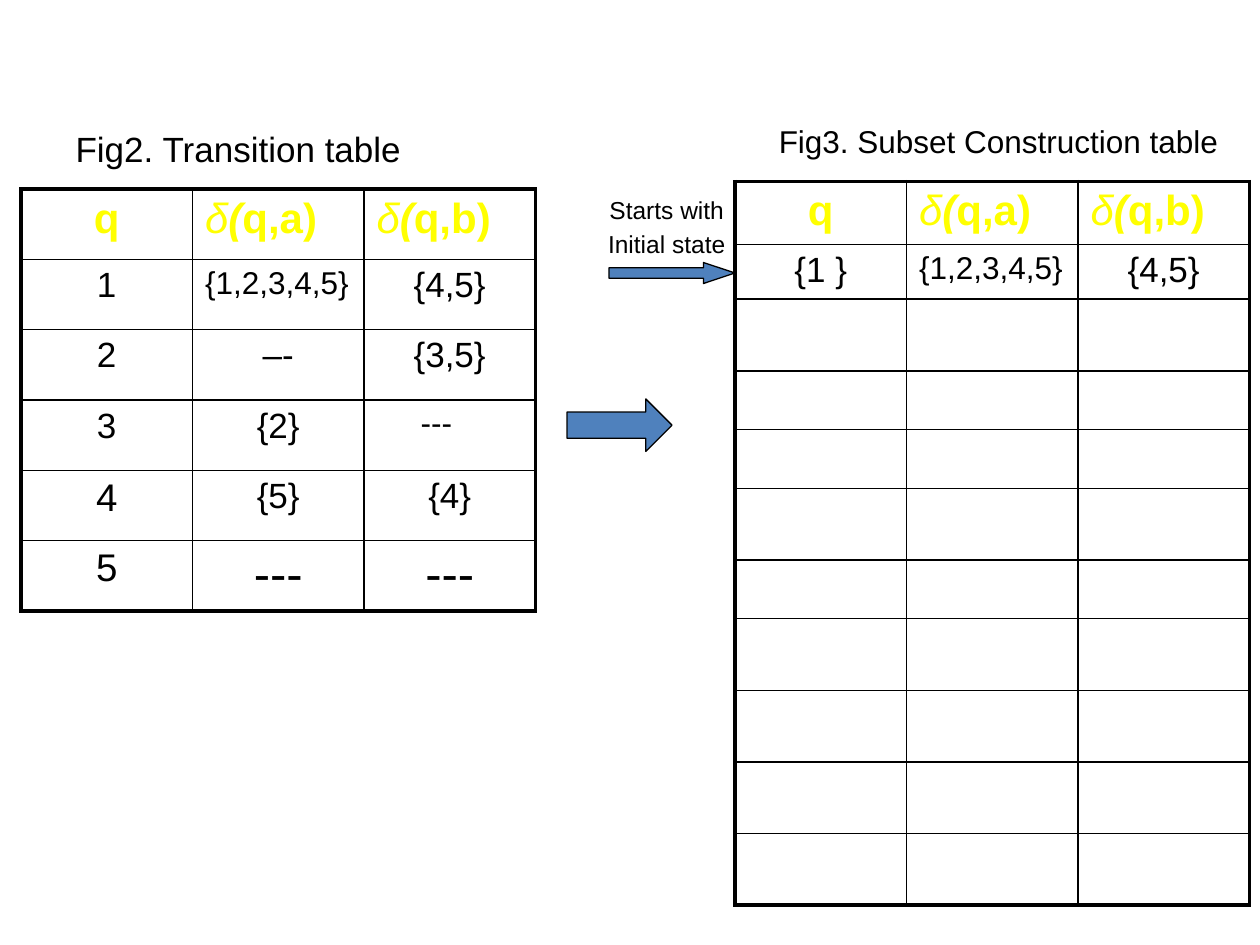
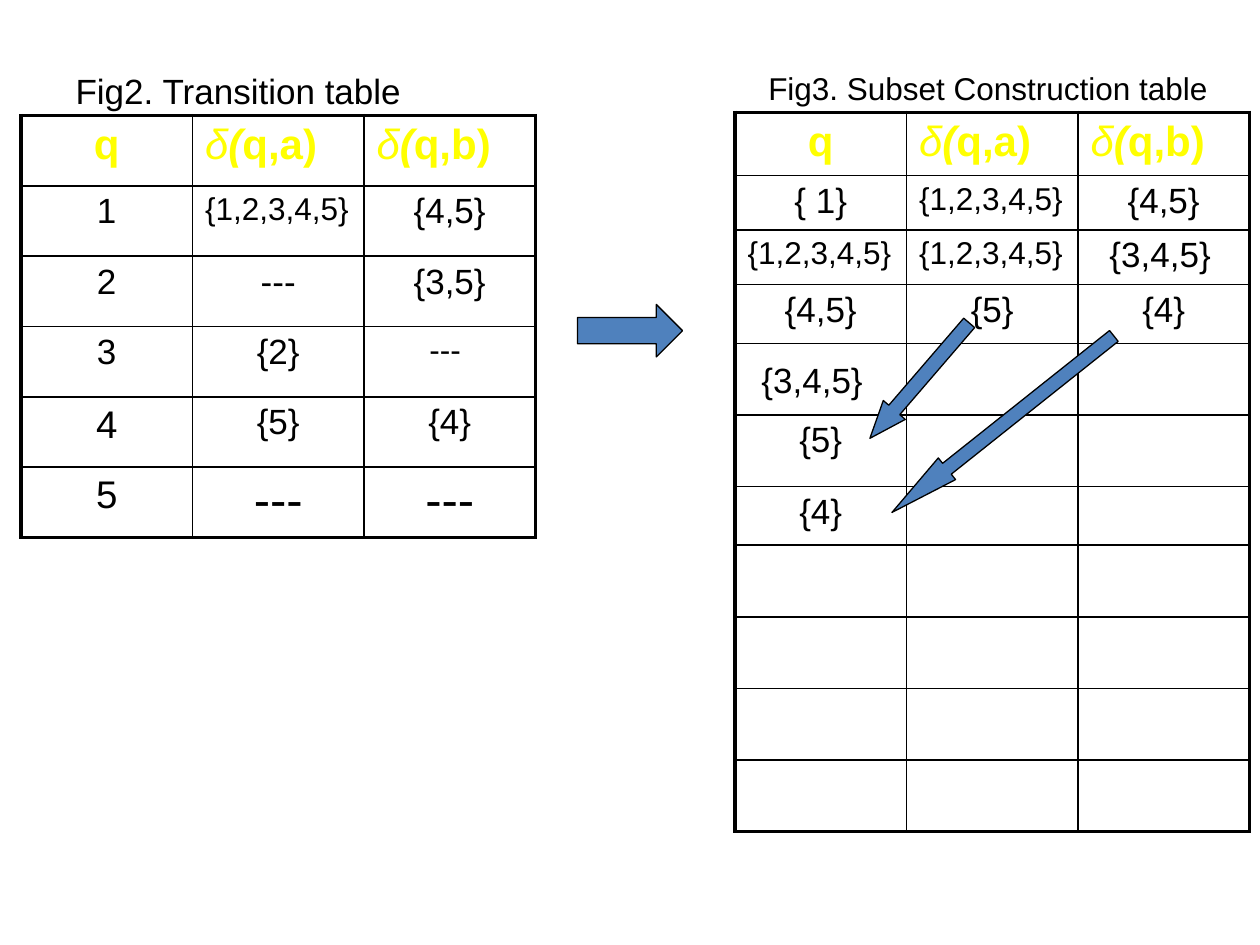
from dataclasses import dataclass
from typing import Optional

from lxml import etree
from pptx import Presentation
from pptx.dml.color import RGBColor
from pptx.enum.shapes import MSO_SHAPE
from pptx.enum.text import MSO_ANCHOR, MSO_AUTO_SIZE, PP_ALIGN
from pptx.oxml.ns import qn
from pptx.util import Inches, Pt

COLORS = {"ink": "000000", "header": "FFFF00", "arrow": "4F81BD"}
FONT = "Arial"
CENTER, LEFT = PP_ALIGN.CENTER, PP_ALIGN.LEFT
TOP, NO_AUTOFIT = MSO_ANCHOR.TOP, MSO_AUTO_SIZE.NONE
RIGHT_ARROW, DOWN_ARROW = MSO_SHAPE.RIGHT_ARROW, MSO_SHAPE.DOWN_ARROW
TITLE_ONLY = 5

# The slide is a grid of 120 columns by 90 rows; lengths below count grid units.
UNIT = Inches(10) / 120
TABLE_WIDTH = 49
FIG2_LEFT, FIG3_LEFT = 2, 70
FIG2_ROW = 6.7
HEADER_ROW, LOW_ROW, MID_ROW, TALL_ROW = 6, 5.2, 5.6, 6.82
OUTER_LINE, INNER_LINE = Pt(2.21), Pt(0.96)


@dataclass
class Entry:
    """Cell text; it is centred unless an indent in inches is given."""
    text: str = ""
    size: float = 20
    indent: Optional[float] = None
    top: float = 0.05


ALL_STATES = Entry("{1,2,3,4,5}", 18, indent=0)
LONG_DASH = Entry("---", 28)


def grid(*units):
    return [round(unit * UNIT) for unit in units]


def color(name):
    return RGBColor.from_string(COLORS[name])


def format_span(span, size, name="ink", bold=False, italic=False):
    font = span.font
    font.name, font.size = FONT, Pt(size)
    font.bold, font.italic = bold, italic
    font.color.rgb = color(name)


def format_para(para, size, align):
    para.alignment = align
    para.space_before = Pt(size * 0.2)
    for span in para.runs:
        format_span(span, size)


def set_indent(para, left, first=0):
    properties = para._p.get_or_add_pPr()
    properties.set("marL", str(Inches(left)))
    properties.set("indent", str(Inches(first)))


def place_title(slide, top):
    title = slide.shapes.title
    title.left, title.top, title.width, title.height = grid(6, top, 108, 59.4)
    frame = title.text_frame
    frame.text = "Fig2. Transition table"
    frame.auto_size, frame.vertical_anchor = NO_AUTOFIT, TOP
    para = frame.paragraphs[0]
    format_para(para, 20, LEFT)
    set_indent(para, 0.37, -0.37)


def add_label(slide, box, text, size, wrap):
    label = slide.shapes.add_textbox(*grid(*box))
    frame = label.text_frame
    frame.text, frame.word_wrap = text, wrap
    frame.margin_left = frame.margin_right = Inches(0.02)
    for para in frame.paragraphs:
        format_para(para, size, CENTER)


def add_arrow(slide, kind, box, head=0.5, rotation=0):
    arrow = slide.shapes.add_shape(kind, *grid(*box))
    arrow.shadow.inherit = False
    arrow.adjustments[0], arrow.adjustments[1] = 0.5, head
    arrow.rotation = rotation
    arrow.fill.solid()
    arrow.fill.fore_color.rgb = color("arrow")
    arrow.line.color.rgb = color("ink")
    arrow.line.width = Pt(0.75)


def set_borders(cell, outer_sides):
    properties = cell._tc.get_or_add_tcPr()
    for position, side in enumerate(("L", "R", "T", "B")):
        width = OUTER_LINE if side in outer_sides else INNER_LINE
        line = etree.Element(qn(f"a:ln{side}"), w=str(width))
        fill = etree.SubElement(line, qn("a:solidFill"))
        etree.SubElement(fill, qn("a:srgbClr"), val=COLORS["ink"])
        properties.insert(position, line)


def fill_header(cell, symbol):
    para = cell.text_frame.paragraphs[0]
    para.space_before = Pt(4.8)
    if symbol == "q":
        para.alignment = CENTER
        parts = [("q", True, False)]
    else:
        parts = [("δ", False, True), ("(", True, True), (f"q,{symbol})", True, False)]
    for text, bold, italic in parts:
        span = para.add_run()
        span.text = text
        format_span(span, 24, "header", bold, italic)


def fill_entry(cell, entry):
    if isinstance(entry, str):
        entry = Entry(entry)
    cell.text_frame.text = entry.text
    cell.margin_top = Inches(entry.top)
    para = cell.text_frame.paragraphs[0]
    format_para(para, entry.size, CENTER if entry.indent is None else LEFT)
    if entry.indent:
        set_indent(para, entry.indent)


def add_state_table(slide, left, top, heights, entries):
    """Draw the header q, δ(q,a), δ(q,b), then entries; rows without any stay empty."""
    count = len(heights)
    box = grid(left, top, TABLE_WIDTH, sum(heights))
    table = slide.shapes.add_table(count, 3, *box).table
    table.first_row = table.horz_banding = False
    for column in table.columns:
        column.width = grid(TABLE_WIDTH / 3)[0]
    for row, height in enumerate(heights):
        table.rows[row].height = grid(height)[0]
        for column in range(3):
            cell = table.cell(row, column)
            cell.fill.background()
            edges = {"L": column == 0, "R": column == 2,
                     "T": row == 0, "B": row == count - 1}
            set_borders(cell, [side for side, outer in edges.items() if outer])
            if row == 0:
                fill_header(cell, "qab"[column])
            elif row <= len(entries) and column < len(entries[row - 1]):
                fill_entry(cell, entries[row - 1][column])


def add_transition_figure(slide, title_top, table_top, dash, dash_indent):
    place_title(slide, title_top)
    entries = [
        ["1", ALL_STATES, "{4,5}"],
        ["2", dash, "{3,5}"],
        ["3", "{2}", Entry("---", 18, indent=dash_indent)],
        [Entry("4", 22), "{5}", "{4}"],
        [Entry("5", 22), LONG_DASH, LONG_DASH],
    ]
    add_state_table(slide, FIG2_LEFT, table_top, [FIG2_ROW] * 6, entries)


def add_subset_figure(slide, caption_left, caption_top, table_top, heights, entries):
    add_state_table(slide, FIG3_LEFT, table_top, heights, entries)
    add_label(slide, (caption_left, caption_top, 44.2, 4.8),
              "Fig3. Subset Construction table", 18, wrap=False)


def build_start_slide(slide):
    add_transition_figure(slide, 11.5, 18, "–-", 0.35)
    heights = [HEADER_ROW, LOW_ROW, TALL_ROW, MID_ROW, MID_ROW, TALL_ROW,
               MID_ROW] + [TALL_ROW] * 4
    add_subset_figure(slide, 73, 11, 17.3, heights,
                      [["{1 }", ALL_STATES, "{4,5}"]])
    add_arrow(slide, RIGHT_ARROW, (58, 25, 12, 2), head=1.5)
    add_arrow(slide, RIGHT_ARROW, (54, 38, 10, 5))
    add_label(slide, (56, 18, 15, 7.2), "Starts with\nInitial state", 14, wrap=True)


def build_new_states_slide(slide):
    add_transition_figure(slide, 6, 11, "---", 0.42)
    heights = [HEADER_ROW, LOW_ROW, LOW_ROW, MID_ROW, TALL_ROW, TALL_ROW,
               MID_ROW] + [TALL_ROW] * 4
    entries = [
        ["{ 1}", ALL_STATES, "{4,5}"],
        [ALL_STATES, ALL_STATES, Entry("{3,4,5}", indent=0.15)],
        ["{4,5}", "{5}", "{4}"],
        [Entry("{3,4,5}", indent=0.11, top=0.15)],
        ["{5}"],
        ["{4}"],
    ]
    add_subset_figure(slide, 72, 6, 10.7, heights, entries)
    add_arrow(slide, DOWN_ARROW, (94.2, 26.9, 2.64, 27), head=2.53, rotation=51.5)
    add_arrow(slide, RIGHT_ARROW, (55, 29, 10, 5))
    add_arrow(slide, DOWN_ARROW, (86.2, 29, 2.76, 14.5), head=1.29, rotation=40.7)


def main():
    deck = Presentation()
    deck.slide_width, deck.slide_height = grid(120, 90)
    for build in (build_start_slide, build_new_states_slide):
        build(deck.slides.add_slide(deck.slide_layouts[TITLE_ONLY]))
    deck.save("out.pptx")


if __name__ == "__main__":
    main()
